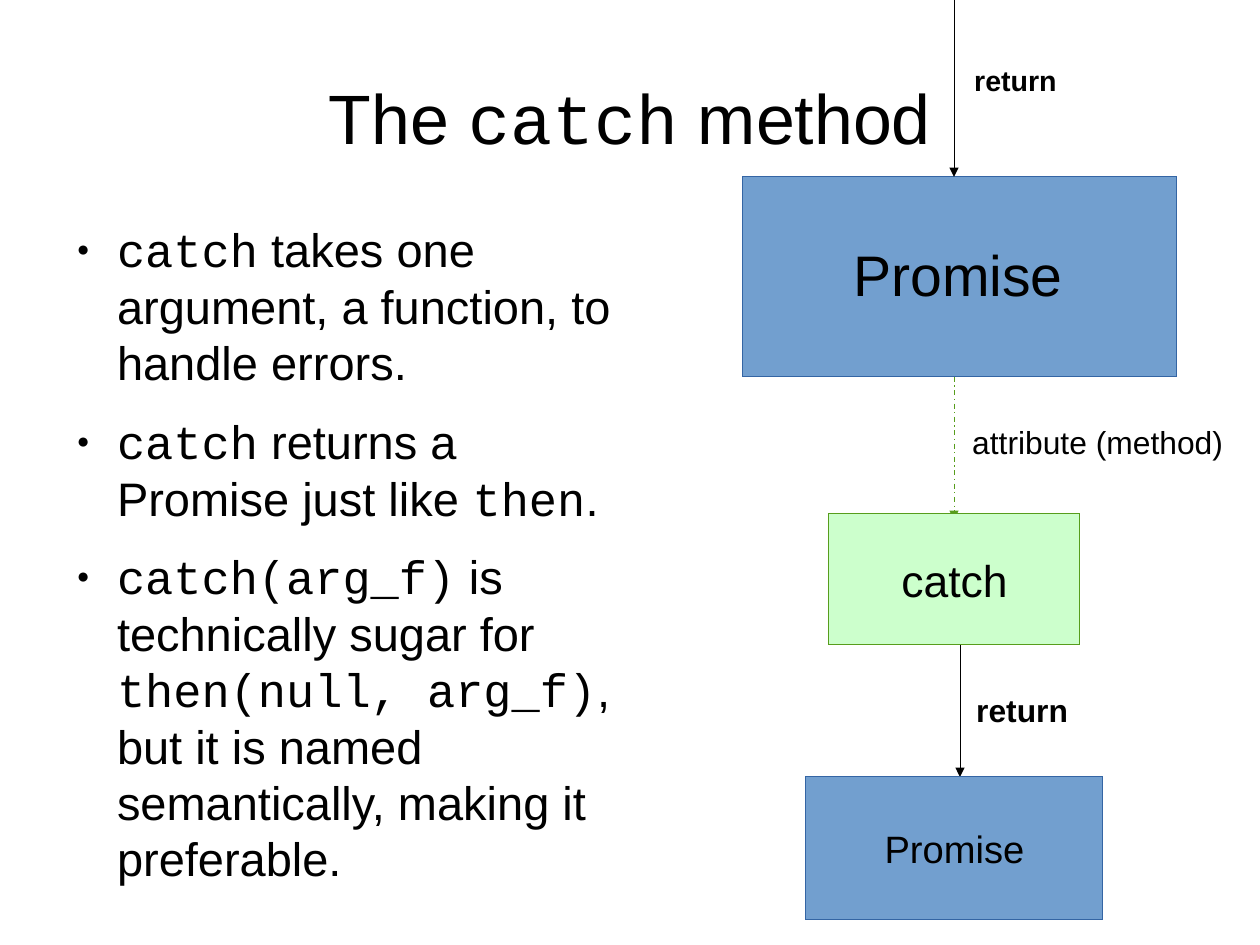
from dataclasses import dataclass
from typing import Optional

from lxml.etree import SubElement
from pptx import Presentation
from pptx.dml.color import RGBColor
from pptx.enum.dml import MSO_LINE
from pptx.enum.shapes import MSO_CONNECTOR, MSO_SHAPE
from pptx.enum.text import MSO_ANCHOR, MSO_AUTO_SIZE, PP_ALIGN
from pptx.oxml.ns import qn
from pptx.util import Emu, Pt

PX = 8000
HAIRLINE = Emu(1)
SANS, MONO = "Arial", "Courier New"
COLORS = {
    "text": "000000",
    "blue": "729FCF",
    "blue_line": "3465A4",
    "green": "CCFFCC",
    "green_line": "579D1C",
}


@dataclass
class Box:
    left: int
    top: int
    width: int
    height: int
    color: str
    text: str = ""
    size: int = 24


@dataclass
class Arrow:
    x: int
    top: int
    bottom: int
    color: str = "text"
    dash: Optional[MSO_LINE] = None


@dataclass
class Label:
    left: int
    top: int
    width: int
    height: int
    text: str
    size: int
    bold: bool = False


DIAGRAM = [
    Box(743, 177, 434, 200, "blue"),
    Arrow(954, 0, 177),
    Label(842, 234, 236, 75, "Promise", 36),
    Label(963, 57, 109, 49, "return", 18, True),
    Arrow(954, 377, 520, "green_line", MSO_LINE.DASH_DOT),
    Box(829, 514, 251, 131, "green", "catch", 28),
    Arrow(960, 645, 777),
    Box(806, 777, 297, 143, "blue", "Promise", 24),
    Label(961, 417, 277, 47, "attribute (method)", 20),
    Label(965, 685, 118, 47, "return", 20, True),
]

TITLE = "The `catch` method"
BULLETS = [
    "`catch` takes one argument, a function, to handle errors.",
    "`catch` returns a Promise just like `then`.",
    "`catch(arg_f)` is technically sugar for `then(null, arg_f)`, "
    "but it is named semantically, making it preferable.",
]


def px(n: int) -> Emu:
    return Emu(n * PX)


def rgb(name: str) -> RGBColor:
    return RGBColor.from_string(COLORS[name])


def apply(obj, values: dict) -> None:
    for name, value in values.items():
        setattr(obj, name, value)


def write(p, text: str, size: float, bold: bool = False) -> None:
    for i, part in enumerate(text.split("`")):
        if part:
            r = p.add_run()
            r.text = part
            font = MONO if i % 2 else SANS
            apply(r.font, {"name": font, "size": Pt(size), "bold": bold})
            r.font.color.rgb = rgb("text")


def add_bullet(p) -> None:
    pPr = p._p.get_or_add_pPr()
    pPr.set("marL", str(px(54)))
    pPr.set("indent", str(px(-40)))
    SubElement(SubElement(pPr, qn("a:buClr")), qn("a:srgbClr"), val=COLORS["text"])
    SubElement(pPr, qn("a:buSzPct"), val="45000")
    SubElement(pPr, qn("a:buFont"), typeface=SANS)
    SubElement(pPr, qn("a:buChar"), char="●")


def add_frame(s, left: int, top: int, width: int, height: int):
    tf = s.shapes.add_textbox(px(left), px(top), px(width), px(height)).text_frame
    margins = ("margin_left", "margin_top", "margin_right", "margin_bottom")
    apply(tf, {"word_wrap": True, **dict.fromkeys(margins, 0)})
    return tf


def add_title(s) -> None:
    tf = add_frame(s, 63, 38, 1134, 158)
    tf.vertical_anchor = MSO_ANCHOR.MIDDLE
    p = tf.paragraphs[0]
    p.alignment = PP_ALIGN.CENTER
    write(p, TITLE, 44)


def add_body(s) -> None:
    tf = add_frame(s, 63, 221, 553, 547)
    for i, text in enumerate(BULLETS):
        p = tf.add_paragraph() if i else tf.paragraphs[0]
        add_bullet(p)
        p.space_after = Pt(14.2)
        write(p, text, 29.6)


def add_box(s, box: Box) -> None:
    sp = s.shapes.add_shape(
        MSO_SHAPE.RECTANGLE, px(box.left), px(box.top), px(box.width), px(box.height)
    )
    sp.shadow.inherit = False
    sp.fill.solid()
    sp.fill.fore_color.rgb = rgb(box.color)
    sp.line.color.rgb = rgb(f"{box.color}_line")
    sp.line.width = HAIRLINE
    if box.text:
        tf = sp.text_frame
        apply(tf, {"word_wrap": False, "vertical_anchor": MSO_ANCHOR.MIDDLE})
        p = tf.paragraphs[0]
        p.alignment = PP_ALIGN.CENTER
        write(p, box.text, box.size)


def add_arrow(s, arrow: Arrow) -> None:
    x = px(arrow.x)
    cxn = s.shapes.add_connector(
        MSO_CONNECTOR.STRAIGHT, x, px(arrow.top), x, px(arrow.bottom)
    )
    cxn.line.color.rgb = rgb(arrow.color)
    apply(cxn.line, {"width": HAIRLINE, "dash_style": arrow.dash})
    SubElement(cxn.line._get_or_add_ln(), qn("a:tailEnd"), type="triangle")
    SubElement(cxn._element.spPr, qn("a:effectLst"))


def add_label(s, label: Label) -> None:
    tf = s.shapes.add_textbox(
        px(label.left), px(label.top), px(label.width), px(label.height)
    ).text_frame
    apply(tf, {"word_wrap": False, "auto_size": MSO_AUTO_SIZE.SHAPE_TO_FIT_TEXT})
    write(tf.paragraphs[0], label.text, label.size, label.bold)


def main() -> None:
    prs = Presentation()
    apply(prs, {"slide_width": px(1260), "slide_height": px(945)})
    s = prs.slides.add_slide(prs.slide_layouts[6])
    add_title(s)
    add_body(s)
    draw = {Box: add_box, Arrow: add_arrow, Label: add_label}
    for item in DIAGRAM:
        draw[type(item)](s, item)
    prs.save("out.pptx")


if __name__ == "__main__":
    main()
